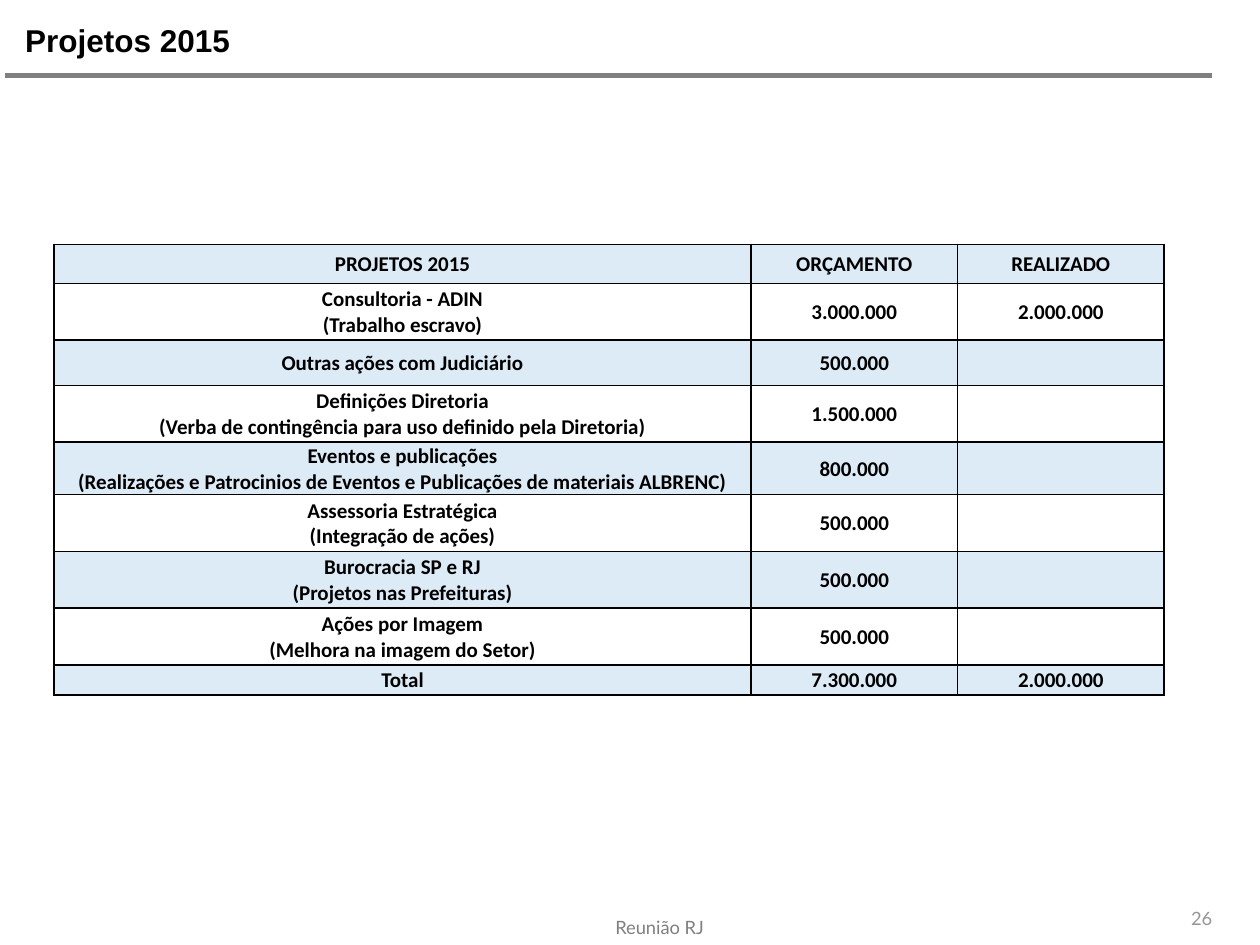
from lxml import etree
from pptx import Presentation
from pptx.dml.color import RGBColor
from pptx.enum.shapes import MSO_CONNECTOR
from pptx.enum.text import MSO_ANCHOR, PP_ALIGN
from pptx.oxml import parse_xml
from pptx.oxml.ns import qn
from pptx.util import Inches, Pt

STRAIGHT = MSO_CONNECTOR.STRAIGHT
TOP, MIDDLE = MSO_ANCHOR.TOP, MSO_ANCHOR.MIDDLE
LEFT, CENTER, RIGHT = PP_ALIGN.LEFT, PP_ALIGN.CENTER, PP_ALIGN.RIGHT
DRAWING_NS = "http://schemas.openxmlformats.org/drawingml/2006/main"


def rgb(color):
    return RGBColor.from_string(color)


def format_paragraph(paragraph, font, size, color, align, bold=False):
    paragraph.alignment = align
    paragraph.font.name = font
    paragraph.font.size = Pt(size)
    paragraph.font.bold = bold
    paragraph.font.color.rgb = rgb(color)


prs = Presentation()
prs.slide_width, prs.slide_height = Inches(10), Inches(7.5)
slide = prs.slides.add_slide(prs.slide_layouts[5])

# Rule under the title
rule = slide.shapes.add_connector(STRAIGHT, Inches(0.04), Inches(0.6), Inches(9.62), Inches(0.6))
rule.line.color.rgb = rgb("808080")
rule.line.width = Pt(3.2)
etree.SubElement(rule._element.spPr, qn("a:effectLst"))

# Title
title = slide.shapes.title
title.left, title.top, title.width, title.height = Inches(0.2), Inches(0.17), Inches(9.51), Inches(0.35)
heading = title.text_frame
heading.text = "Projetos 2015"
heading.vertical_anchor = TOP
heading.margin_left = heading.margin_right = heading.margin_top = heading.margin_bottom = 0
format_paragraph(heading.paragraphs[0], "Arial", 18, "000000", LEFT, bold=True)

# Budget table: row height, project, budget, spent (\v is a line break)
budget = [
    (0.31, "PROJETOS 2015", "ORÇAMENTO", "REALIZADO"),
    (0.45, "Consultoria - ADIN\v(Trabalho escravo)", "3.000.000", "2.000.000"),
    (0.36, "Outras ações com Judiciário", "500.000", ""),
    (0.45, "Definições Diretoria\v(Verba de contingência para uso definido pela Diretoria)", "1.500.000", ""),
    (0.4, "Eventos e publicações\v(Realizações e Patrocinios de Eventos e Publicações de materiais ALBRENC)",
     "800.000", ""),
    (0.45, "Assessoria Estratégica\v(Integração de ações)", "500.000", ""),
    (0.45, "Burocracia SP e RJ\v(Projetos nas Prefeituras)", "500.000", ""),
    (0.45, "Ações por Imagem\v(Melhora na imagem do Setor)", "500.000", ""),
    (0.24, "Total", "7.300.000", "2.000.000"),
]
column_widths = [5.53, 1.64, 1.64]
table = slide.shapes.add_table(
    len(budget), len(column_widths), Inches(0.43), Inches(1.94),
    Inches(sum(column_widths)), Inches(sum(row[0] for row in budget))).table
table.first_row = table.horz_banding = False
for column, width in zip(table.columns, column_widths):
    column.width = Inches(width)

for r, (height, *texts) in enumerate(budget):
    table.rows[r].height = Inches(height)
    for c, text in enumerate(texts):
        cell = table.cell(r, c)
        cell.text = text
        cell.vertical_anchor = MIDDLE
        cell.margin_left = cell.margin_right = cell.margin_top = Inches(0.01)
        cell.margin_bottom = 0
        format_paragraph(cell.text_frame.paragraphs[0], "Calibri", 12, "000000", CENTER, bold=True)
        # Borders come before the fill in the cell properties
        cell_properties = cell._tc.get_or_add_tcPr()
        for side in ("lnL", "lnR", "lnT", "lnB"):
            cell_properties.append(parse_xml(
                f'<a:{side} xmlns:a="{DRAWING_NS}" w="{Pt(1)}"><a:solidFill>'
                f'<a:srgbClr val="000000"/></a:solidFill></a:{side}>'))
        cell.fill.solid()
        cell.fill.fore_color.rgb = rgb("FFFFFF" if r % 2 else "DDEBF7")

# Page number and footer
for text, left, top, color, align in [
    ("26", 7.99, 7.14, "969696", RIGHT),
    ("Reunião RJ", 4.37, 7.21, "808080", CENTER),
]:
    note = slide.shapes.add_textbox(Inches(left), Inches(top), Inches(1.73), Inches(0.29)).text_frame
    note.word_wrap = True
    note.margin_top = note.margin_bottom = Inches(0.06)
    note.text = text
    format_paragraph(note.paragraphs[0], "Lato", 10.5, color, align)

prs.save("out.pptx")
